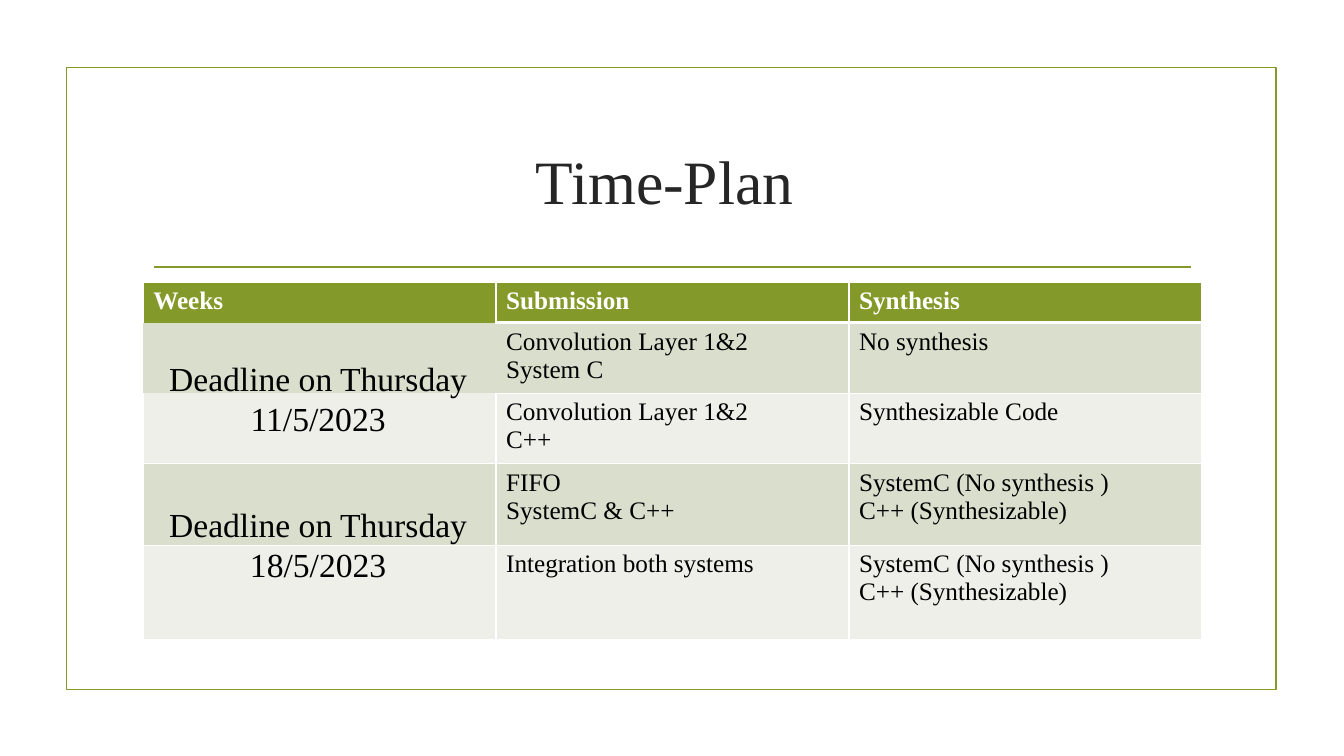
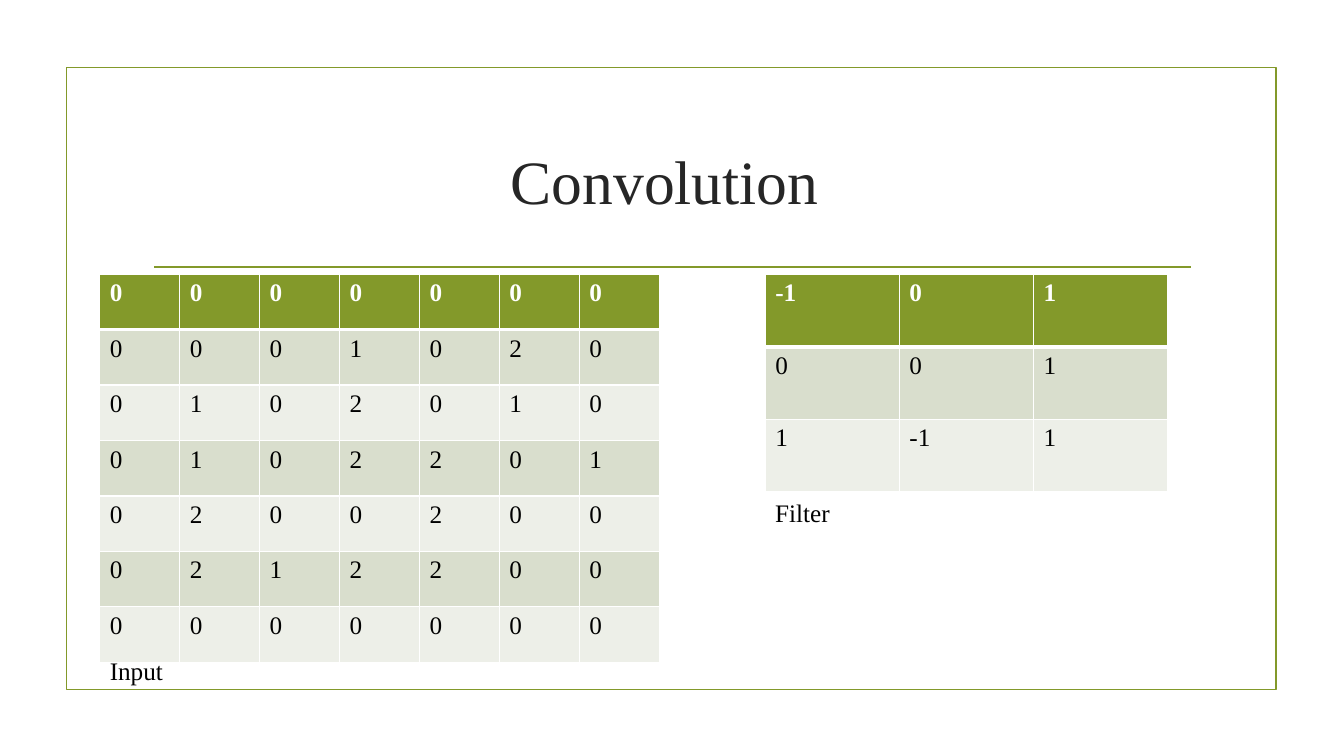
import dataclasses

import lxml.etree
import pptx
import pptx.dml.color
import pptx.enum.shapes
import pptx.enum.text
import pptx.oxml.ns
import pptx.util

Inches = pptx.util.Inches
Pt = pptx.util.Pt
qn = pptx.oxml.ns.qn
ALIGN = pptx.enum.text.PP_ALIGN
ANCHOR = pptx.enum.text.MSO_ANCHOR


def rgb(value):
    return pptx.dml.color.RGBColor.from_string(value)


@dataclasses.dataclass(frozen=True)
class Theme:
    font: str = "Times New Roman"
    green: str = "83992A"
    title_ink: str = "262626"
    ink: str = "000000"
    white: str = "FFFFFF"
    bands: tuple = ("D9DECD", "EDEFE8")
    title_size: int = 44
    deadline_size: int = 24
    body_size: int = 18
    rule_width: float = 1.25
    border_width: float = 1
    header_border_width: float = 3


THEME = Theme()
TITLE_BOX = (1.42, 1.07, 10.5, 1.43)
SIDES = {"L": (0, -1), "R": (0, 1), "T": (-1, 0), "B": (1, 0)}

SCHEDULE = [
    ["Weeks", "Submission", "Synthesis"],
    ["", "Convolution Layer 1&2\nSystem C", "No synthesis"],
    ["", "Convolution Layer 1&2\nC++", "Synthesizable Code"],
    ["", "FIFO\nSystemC & C++", "SystemC (No synthesis )\nC++ (Synthesizable)"],
    ["", "Integration both systems", "SystemC (No synthesis )\nC++ (Synthesizable)"],
]
SCHEDULE_HEIGHTS = [0.4, 0.65, 0.65, 0.81, 0.93]
DEADLINES = [(3.5, "11/5/2023"), (4.95, "18/5/2023")]

INPUT_ROWS = ["0000000", "0001020", "0102010", "0102201", "0200200", "0212200", "0000000"]
FILTER_ROWS = [["-1", "0", "1"], ["0", "0", "1"], ["1", "-1", "1"]]


def write_lines(frame, lines, size, color, bold=False, align=ALIGN.LEFT):
    for index, line in enumerate(lines):
        paragraph = frame.paragraphs[0] if index == 0 else frame.add_paragraph()
        paragraph.alignment = align
        run = paragraph.add_run()
        run.text = line
        run.font.name = THEME.font
        run.font.size = Pt(size)
        run.font.bold = bold
        run.font.color.rgb = rgb(color)


def add_label(slide, box, lines, size, color=THEME.ink, align=ALIGN.LEFT,
              anchor=ANCHOR.TOP, wrap=True):
    frame = slide.shapes.add_textbox(*map(Inches, box)).text_frame
    frame.word_wrap = wrap
    frame.vertical_anchor = anchor
    write_lines(frame, lines, size, color, align=align)


def add_themed_slide(deck, title):
    slide = deck.slides.add_slide(deck.slide_layouts[6])
    border = slide.shapes.add_shape(
        pptx.enum.shapes.MSO_SHAPE.RECTANGLE,
        Inches(0.66), Inches(0.67), Inches(12), Inches(6.17))
    border.shadow.inherit = False
    border.fill.background()
    rule = slide.shapes.add_connector(
        pptx.enum.shapes.MSO_CONNECTOR.STRAIGHT,
        Inches(1.53), Inches(2.65), Inches(11.81), Inches(2.65))
    lxml.etree.SubElement(rule.element.spPr, qn("a:effectLst"))
    for outline in (border.line, rule.line):
        outline.color.rgb = rgb(THEME.green)
        outline.width = Pt(THEME.rule_width)
    add_label(slide, TITLE_BOX, [title], THEME.title_size, THEME.title_ink,
              ALIGN.CENTER, ANCHOR.MIDDLE)
    return slide


def draw_borders(cell, row, column, open_cell):
    properties = cell._tc.get_or_add_tcPr()
    for index, (side, (down, across)) in enumerate(SIDES.items()):
        under_header = (row, side) in ((0, "B"), (1, "T"))
        width = THEME.header_border_width if under_header else THEME.border_width
        edge = lxml.etree.Element(qn("a:ln" + side), w=str(Pt(width)))
        if open_cell in ((row, column), (row + down, column + across)):
            lxml.etree.SubElement(edge, qn("a:noFill"))
        else:
            fill = lxml.etree.SubElement(edge, qn("a:solidFill"))
            lxml.etree.SubElement(fill, qn("a:srgbClr"), val=THEME.white)
        properties.insert(index, edge)


def add_banded_table(slide, left, top, width, heights, rows, open_cell=None):
    columns = len(rows[0])
    table = slide.shapes.add_table(
        len(rows), columns, Inches(left), Inches(top),
        Inches(width), Inches(sum(heights))).table
    for column in table.columns:
        column.width = Inches(width / columns)
    for row, (height, texts) in enumerate(zip(heights, rows)):
        table.rows[row].height = Inches(height)
        header = row == 0
        for column, text in enumerate(texts):
            cell = table.cell(row, column)
            cell.fill.solid()
            cell.fill.fore_color.rgb = rgb(THEME.green if header else THEME.bands[(row - 1) % 2])
            draw_borders(cell, row, column, open_cell)
            if text:
                write_lines(cell.text_frame, text.split("\n"), THEME.body_size,
                            THEME.white if header else THEME.ink, header)


def add_matrix(slide, left, top, width, row_height, rows, caption, caption_top):
    add_banded_table(slide, left, top, width, [row_height] * len(rows), rows)
    add_label(slide, (left, caption_top, 4.41, 0.4), [caption], THEME.body_size)


def build_time_plan(deck):
    slide = add_themed_slide(deck, "Time-Plan ")
    add_banded_table(slide, 1.42, 2.8, 10.5, SCHEDULE_HEIGHTS, SCHEDULE, open_cell=(1, 0))
    for top, date in DEADLINES:
        add_label(slide, (1.56, top, 3.19, 0.91), ["Deadline on Thursday ", date],
                  THEME.deadline_size, align=ALIGN.CENTER, wrap=False)


def build_convolution(deck):
    slide = add_themed_slide(deck, "Convolution ")
    add_matrix(slide, 0.99, 2.72, 5.55, 0.55, INPUT_ROWS, "Input", 6.45)
    add_matrix(slide, 7.59, 2.72, 3.99, 0.72, FILTER_ROWS, "Filter", 4.88)


def main():
    deck = pptx.Presentation()
    deck.slide_width = Inches(13.33)
    deck.slide_height = Inches(7.5)
    build_time_plan(deck)
    build_convolution(deck)
    deck.save("out.pptx")


if __name__ == "__main__":
    main()
